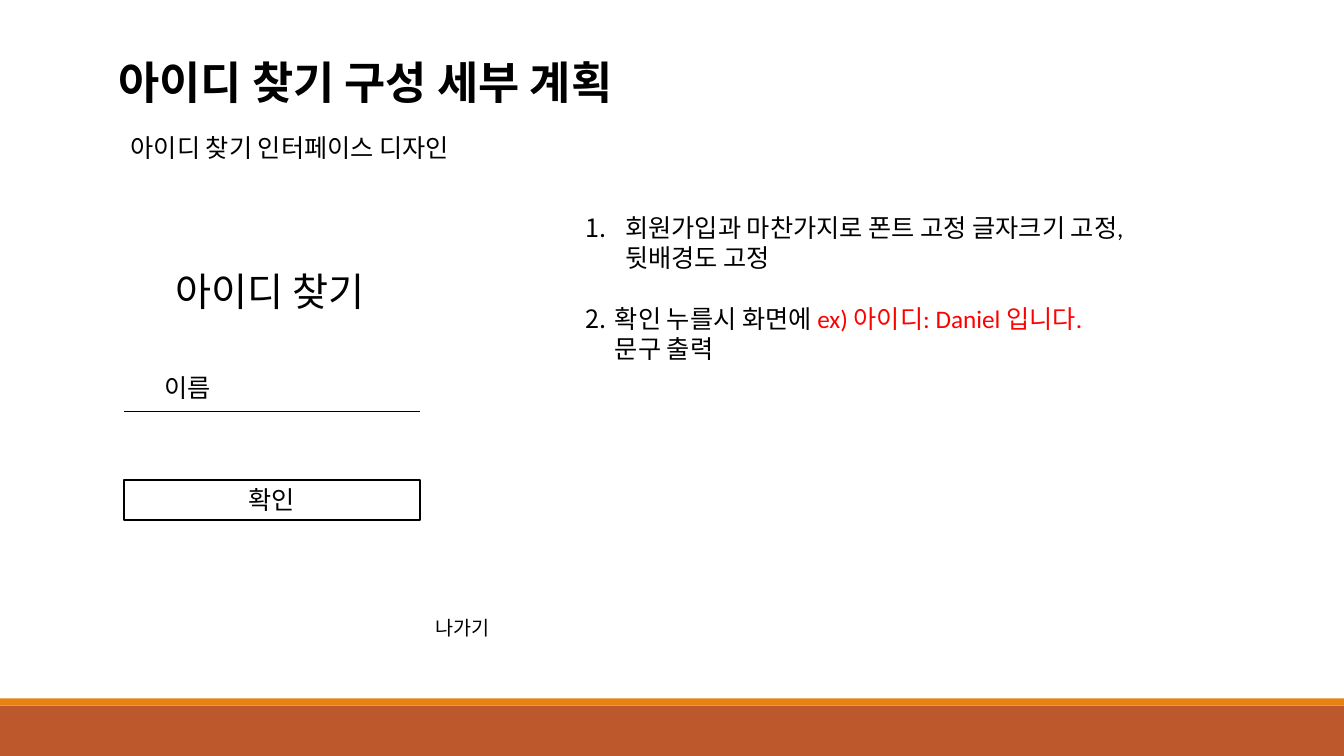
from lxml import etree
from pptx import Presentation
from pptx.dml.color import RGBColor
from pptx.enum.shapes import MSO_CONNECTOR, MSO_SHAPE
from pptx.enum.text import MSO_ANCHOR, MSO_AUTO_SIZE, PP_ALIGN
from pptx.oxml.ns import qn
from pptx.util import Pt

PX = 9525
WIDE, HIGH = 1280, 720
RECT = MSO_SHAPE.RECTANGLE
LINE = MSO_CONNECTOR.STRAIGHT
TOP, MIDDLE = MSO_ANCHOR.TOP, MSO_ANCHOR.MIDDLE
LEFT, CENTER = PP_ALIGN.LEFT, PP_ALIGN.CENTER
FIXED = MSO_AUTO_SIZE.NONE
HUES = {"ink": "000000", "paper": "FFFFFF", "alert": "FF0000",
        "gold": "E48312", "rust": "BD582C"}
ITEMS = [
    (38, 0, [("회원가입과 마찬가지로 폰트 고정 글자크기 고정,\v뒷배경도 고정", "ink")]),
    (28, 22, [("확인 누를시 화면에 ", "ink"),
              ("ex) 아이디: Daniel 입니다.", "alert"),
              ("\v문구 출력", "ink")]),
]


def hue(name):
    return RGBColor.from_string(HUES[name])


def apply(target, values):
    for key, value in values.items():
        setattr(target, key, value)


def place(shape, box):
    sides = ("left", "top", "width", "height")
    apply(shape, {side: n * PX for side, n in zip(sides, box)})


def style(font, size, color="ink", bold=False):
    apply(font, {"name": "Calibri", "size": Pt(size), "bold": bold})
    font.color.rgb = hue(color)


def frame(shape, anchor=TOP):
    text = shape.text_frame
    apply(text, {"word_wrap": True, "auto_size": FIXED,
                 "vertical_anchor": anchor})
    return text


def write(shape, words, size, bold=False, align=LEFT, anchor=TOP):
    para = frame(shape, anchor).paragraphs[0]
    para.text = words
    para.alignment = align
    style(para.runs[0].font, size, bold=bold)


def label(slide, box, words, size):
    shape = slide.shapes.add_textbox(*[n * PX for n in box])
    write(shape, words, size)


def block(slide, box, fill):
    shape = slide.shapes.add_shape(RECT, *[n * PX for n in box])
    shape.shadow.inherit = False
    shape.fill.solid()
    shape.fill.fore_color.rgb = hue(fill)
    shape.line.fill.background()
    return shape


def footer(slide, box):
    x, y, w, h = box
    block(slide, (x, y + 7, w, h - 7), "rust")
    block(slide, (x, y, w, 7), "gold")


def header(slide, box):
    x, y, w, h = box
    title = slide.shapes.title
    place(title, (x, y, w, 70))
    write(title, "아이디 찾기 구성 세부 계획", 32, bold=True)
    label(slide, (x + 12, y + 74, w - 62, h - 74), "아이디 찾기 인터페이스 디자인", 18)


def form(slide, box):
    x, y, w, h = box
    label(slide, (x + 40, y, w - 40, 55), "아이디 찾기", 28)
    label(slide, (x + 29, y + 100, w - 29, 38), "이름", 18)
    ends = (x, y + 142, x + w, y + 142)
    rule = slide.shapes.add_connector(LINE, *[n * PX for n in ends])
    etree.SubElement(rule.element.spPr, qn("a:effectLst"))
    rule.line.color.rgb = hue("ink")
    rule.line.width = Pt(1)
    button = block(slide, (x, y + 207, w, 38), "paper")
    button.line.color.rgb = hue("ink")
    button.line.width = Pt(1.25)
    write(button, "확인", 18, align=CENTER, anchor=MIDDLE)
    label(slide, (x + w + 5, y + h - 34, 157, 34), "나가기", 14)


def notes(slide, box):
    body = slide.placeholders[1]
    place(body, box)
    text = frame(body)
    for index, (indent, gap, parts) in enumerate(ITEMS):
        para = text.add_paragraph() if index else text.paragraphs[0]
        props = para._p.get_or_add_pPr()
        props.set("marL", str(indent * PX))
        props.set("indent", str(-indent * PX))
        etree.SubElement(props, qn("a:buFont"), typeface="Calibri")
        etree.SubElement(props, qn("a:buAutoNum"), type="arabicPeriod",
                         startAt=str(index + 1))
        apply(para, {"space_before": Pt(gap), "alignment": LEFT})
        for words, color in parts:
            if words.startswith("\v"):
                para.add_line_break()
            for line, piece in enumerate(words.strip("\v").split("\v")):
                if line:
                    para.add_line_break()
                run = para.add_run()
                run.text = piece
                style(run.font, 18, color)


def main():
    deck = Presentation()
    apply(deck, {"slide_width": WIDE * PX, "slide_height": HIGH * PX})
    slide = deck.slides.add_slide(deck.slide_layouts[1])
    footer(slide, (0, 665, WIDE, 55))
    header(slide, (103, 47, 1134, 112))
    form(slide, (118, 250, 282, 366))
    notes(slide, (548, 197, 614, 213))
    deck.save("out.pptx")


if __name__ == "__main__":
    main()
